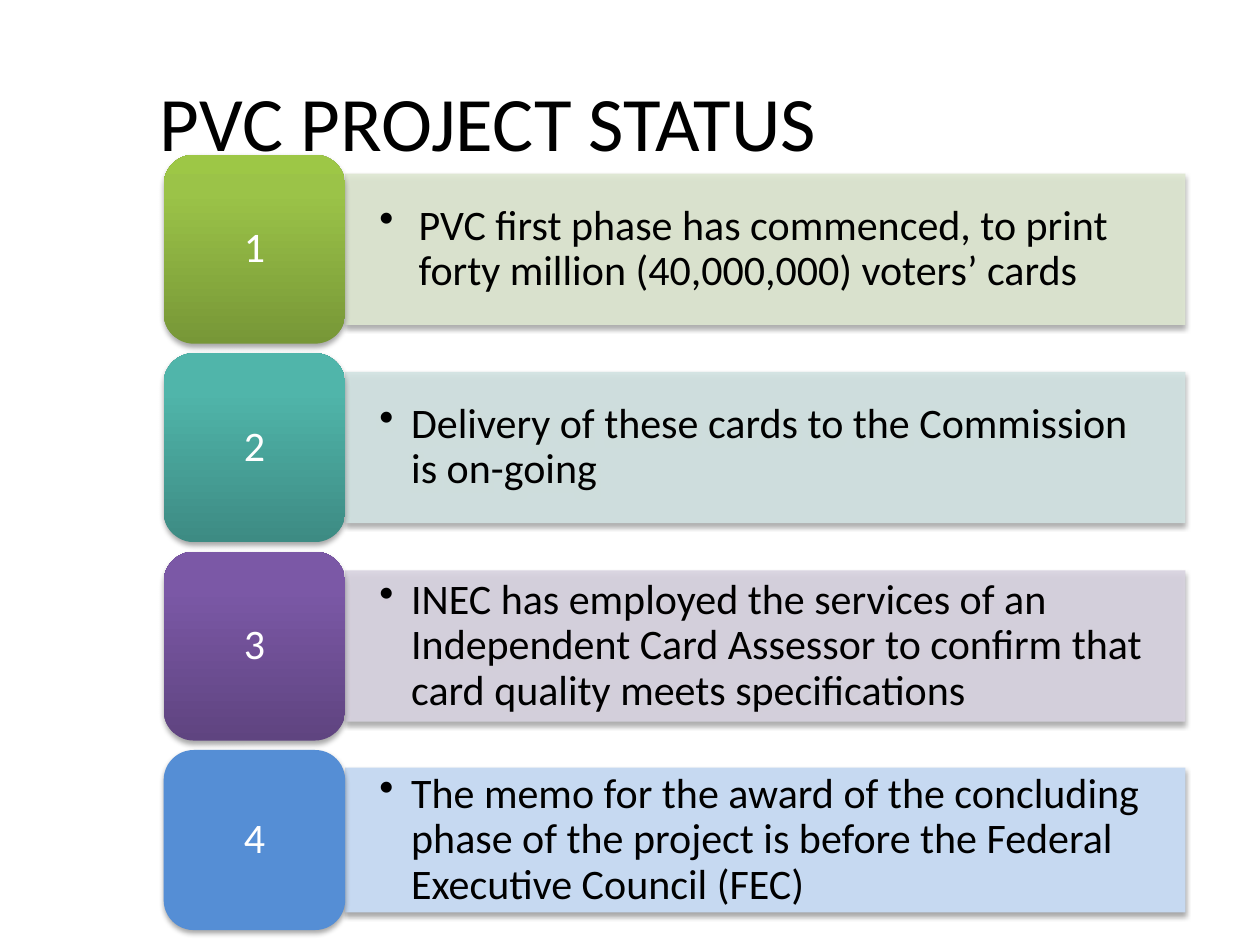
import copy
from dataclasses import dataclass
from typing import Any

import lxml.etree
import pptx
import pptx.dml.color
import pptx.enum.dml
import pptx.enum.shapes
import pptx.enum.text
import pptx.oxml
import pptx.oxml.ns
import pptx.util

Cm = pptx.util.Cm
Shapes = pptx.enum.shapes.MSO_SHAPE
Align = pptx.enum.text.PP_ALIGN


@dataclass(frozen=True)
class Theme:
    font: str = "Calibri"
    title_size: int = 44
    body_size: int = 24
    dark: str = "000000"
    light: str = "FFFFFF"
    bar_alpha: int = 90


@dataclass(frozen=True)
class Step:
    text: str
    bar_color: str
    badge_colors: tuple[str, ...]
    alpha: int = 100
    indent: float = 0.64
    badge_height: float = 3.81
    bar_height: float = 3.05


THEME = Theme()
FIRST_TOP, PITCH = 3.12, 4.0
BADGE_LEFT, BADGE_WIDTH = 3.3, 3.66
BAR_LEFT, BAR_WIDTH = BADGE_LEFT + BADGE_WIDTH, 16.94
GRADIENT_POSITIONS = (0, 0.8, 1)

STEPS = (
    Step("PVC first phase has commenced, to print forty million (40,000,000) voters’ cards",
         "DEE7D1", ("779737", "9BC348", "9DC746"), THEME.bar_alpha, indent=0.79),
    Step("Delivery of these cards to the Commission is on-going",
         "D2E3E2", ("3D8B83", "50B5AA", "4EB8AC"), THEME.bar_alpha),
    Step("INEC has employed the services of an Independent Card Assessor to confirm that "
         "card quality meets specifications",
         "D8D3E0", ("5F4480", "7B58A6", "7C57A8"), THEME.bar_alpha),
    Step("The memo for the award of the concluding phase of the project is before the "
         "Federal Executive Council (FEC)",
         "C6D9F1", ("558ED5",), badge_height=3.63, bar_height=2.92),
)


def rgb(color: str) -> pptx.dml.color.RGBColor:
    return pptx.dml.color.RGBColor.from_string(color)


def apply(target: Any, values: dict[str, Any]) -> None:
    for name, value in values.items():
        setattr(target, name, value)


def write(shape: Any, text: str, size: int, color: str, align: Any,
          spacing: float = 1.0, insets: tuple[float, float] = (0.25, 0.13)) -> Any:
    horizontal, vertical = map(Cm, insets)
    apply(shape.text_frame, {
        "word_wrap": True,
        "vertical_anchor": pptx.enum.text.MSO_ANCHOR.MIDDLE,
        "margin_left": horizontal, "margin_right": horizontal,
        "margin_top": vertical, "margin_bottom": vertical,
    })
    paragraph = shape.text_frame.paragraphs[0]
    apply(paragraph, {"text": text, "alignment": align, "line_spacing": spacing})
    apply(paragraph.runs[0].font, {"name": THEME.font, "size": pptx.util.Pt(size)})
    paragraph.runs[0].font.color.rgb = rgb(color)
    return paragraph


def add_bullet(paragraph: Any, indent: float) -> None:
    properties = paragraph._p.get_or_add_pPr()
    properties.set("marL", str(Cm(indent)))
    properties.set("indent", str(-Cm(indent)))
    bullet = lxml.etree.SubElement(properties, pptx.oxml.ns.qn("a:buChar"))
    bullet.set("char", "•")


def add_shadow(shape: Any) -> None:
    shape.shadow.inherit = False
    effects = shape._element.spPr.find(pptx.oxml.ns.qn("a:effectLst"))
    effects.append(pptx.oxml.parse_xml(
        f'<a:outerShdw {pptx.oxml.ns.nsdecls("a")} blurRad="40000" dist="23000" '
        'dir="5400000" rotWithShape="0"><a:srgbClr val="000000">'
        '<a:alpha val="35000"/></a:srgbClr></a:outerShdw>'))


def paint(shape: Any, colors: tuple[str, ...], alpha: int = 100) -> None:
    if len(colors) == 1:
        shape.fill.solid()
        shape.fill.fore_color.rgb = rgb(colors[0])
    else:
        shape.fill.gradient()
        shape.fill.gradient_angle = 90
        stop_list = shape._element.spPr.find(".//" + pptx.oxml.ns.qn("a:gsLst"))
        stop_list.append(copy.deepcopy(stop_list[-1]))
        for stop, color, position in zip(shape.fill.gradient_stops, colors, GRADIENT_POSITIONS):
            stop.color.rgb = rgb(color)
            stop.position = position
    if alpha < 100:
        color_element = shape._element.spPr.find(".//" + pptx.oxml.ns.qn("a:srgbClr"))
        opacity = lxml.etree.SubElement(color_element, pptx.oxml.ns.qn("a:alpha"))
        opacity.set("val", str(alpha * 1000))
    shape.line.fill.background()
    add_shadow(shape)


def add_step(slide: Any, index: int, step: Step) -> None:
    top = FIRST_TOP + index * PITCH
    bar_top = top + (step.badge_height - step.bar_height) / 2
    bar = slide.shapes.add_shape(Shapes.RECTANGLE, Cm(BAR_LEFT), Cm(bar_top),
                                 Cm(BAR_WIDTH), Cm(step.bar_height))
    paint(bar, (step.bar_color,), step.alpha)
    paragraph = write(bar, step.text, THEME.body_size, THEME.dark, Align.LEFT,
                      spacing=0.9, insets=(0.69, 0.36))
    add_bullet(paragraph, step.indent)

    badge = slide.shapes.add_shape(Shapes.ROUNDED_RECTANGLE, Cm(BADGE_LEFT), Cm(top),
                                   Cm(BADGE_WIDTH), Cm(step.badge_height))
    paint(badge, step.badge_colors)
    write(badge, str(index + 1), THEME.body_size, THEME.light, Align.CENTER, spacing=0.9)


def main() -> None:
    presentation = pptx.Presentation()
    apply(presentation, {"slide_width": Cm(25.4), "slide_height": Cm(19.05)})
    slide = presentation.slides.add_slide(presentation.slide_layouts[6])
    for index, step in enumerate(STEPS):
        add_step(slide, index, step)
    title = slide.shapes.add_textbox(Cm(2.97), Cm(0.84), Cm(22.43), Cm(3.18))
    write(title, "PVC PROJECT STATUS", THEME.title_size, THEME.dark, Align.LEFT)
    presentation.save("out.pptx")


if __name__ == "__main__":
    main()
